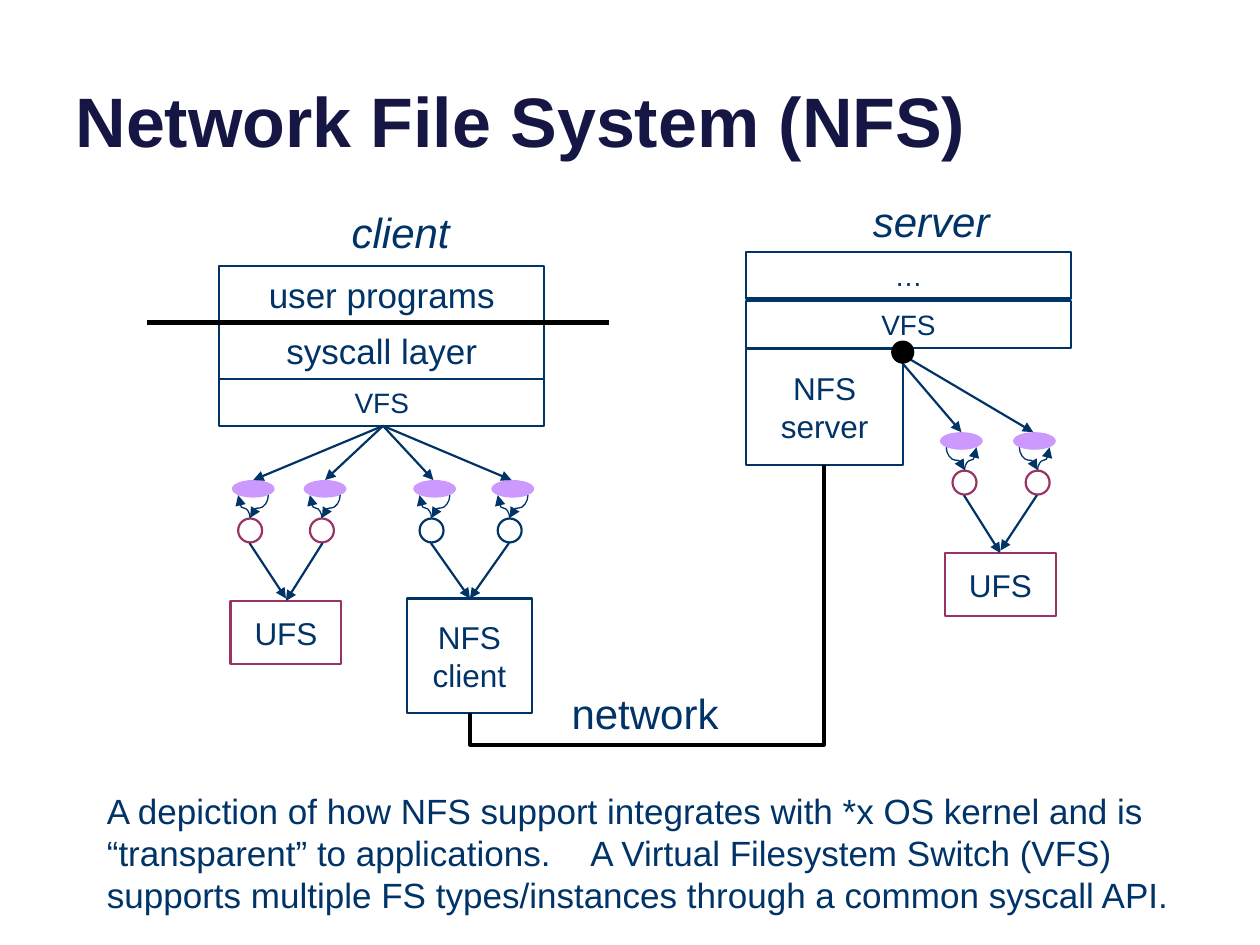
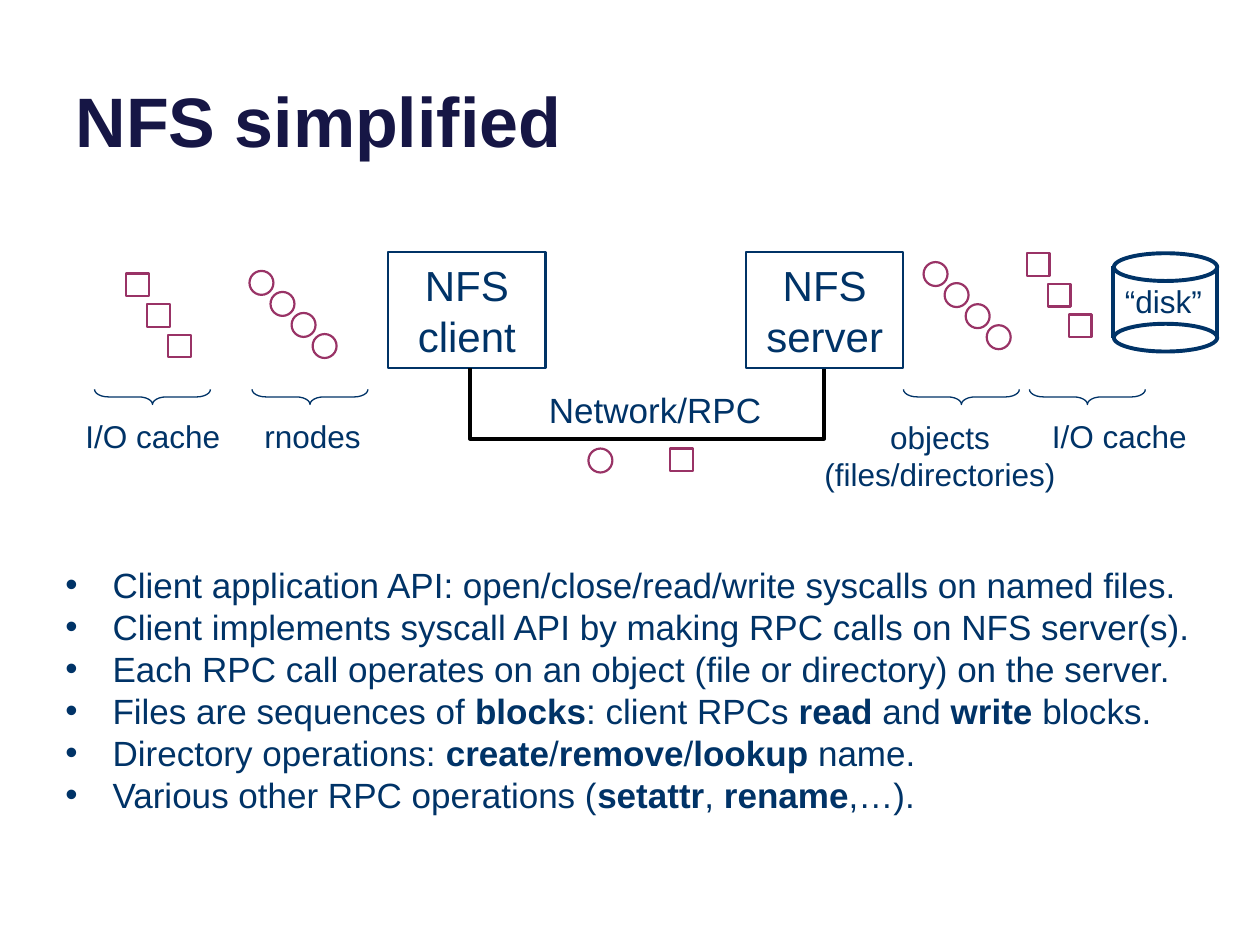
"""Build two slides on how the Network File System is put together."""
from lxml import etree
from pptx import Presentation
from pptx import util as u
from pptx.dml.color import RGBColor
from pptx.enum import shapes, text
from pptx.oxml import ns

HUES = {"title": "161645", "ink": "003367", "navy": "003366", "plum": "993366",
        "lilac": "CC99FF", "white": "FFFFFF", "black": "000000"}
RECT, OVAL = shapes.MSO_SHAPE.RECTANGLE, shapes.MSO_SHAPE.OVAL
BRACE = shapes.MSO_SHAPE.RIGHT_BRACE
STRAIGHT, ELBOW, CURVE = (shapes.MSO_CONNECTOR.STRAIGHT, shapes.MSO_CONNECTOR.ELBOW,
                          shapes.MSO_CONNECTOR.CURVE)

deck = Presentation()
deck.slide_width, deck.slide_height = u.Inches(10), u.Inches(7.5)
CELL = deck.slide_width / 100


def put(slide, kind, box, words="", size=18, fill="white", line="navy", weight=1.25,
        centred=True, italic=False):
    """Place a shape, or a text box if kind is None; |bars| enclose bold words."""
    spot = [round(n * CELL) for n in box]
    if kind is None:
        part = slide.shapes.add_textbox(*spot)
    else:
        part = slide.shapes.add_shape(kind, *spot)
        part.shadow.inherit = False
        if fill:
            part.fill.solid()
            part.fill.fore_color.rgb = RGBColor.from_string(HUES[fill])
        else:
            part.fill.background()
        if line:
            part.line.color.rgb = RGBColor.from_string(HUES[line])
            part.line.width = u.Pt(weight)
        else:
            part.line.fill.background()
    if words:
        frame = part.text_frame
        frame.word_wrap = not centred
        frame.vertical_anchor = text.MSO_ANCHOR.MIDDLE if centred else text.MSO_ANCHOR.TOP
        look = {"name": "Arial", "size": u.Pt(size), "italic": italic}
        for row, sentence in enumerate(words.split("\n")):
            para = frame.add_paragraph() if row else frame.paragraphs[0]
            para.alignment = text.PP_ALIGN.CENTER if centred else text.PP_ALIGN.LEFT
            for turn, piece in enumerate(sentence.split("|")):
                run = para.add_run()
                run.text = piece
                for key, value in {**look, "bold": turn % 2 == 1}.items():
                    setattr(run.font, key, value)
                run.font.color.rgb = RGBColor.from_string(HUES["ink"])
    return part


def link(slide, start, end, kind=STRAIGHT, hue="navy", weight=1.25, arrow=True, bend=None):
    """Join two points; a bend is the share of the height where the path turns."""
    (x1, y1), (x2, y2) = start, end
    wire = slide.shapes.add_connector(kind, *[round(n * CELL) for n in (*start, *end)])
    wire.line.color.rgb = RGBColor.from_string(HUES[hue])
    wire.line.width = u.Pt(weight)
    props = wire.element.spPr
    if bend is not None:
        wide, high = abs(x2 - x1), abs(y2 - y1)
        wire.left, wire.top = (round(n * CELL / 2) for n in (x1 + x2 - high, y1 + y2 - wide))
        wire.width, wire.height = round(high * CELL), round(wide * CELL)
        right, down = x2 > x1, y2 > y1
        frame = props.find(ns.qn("a:xfrm"))
        for key, value in {"rot": 16200000 if right else 5400000,
                           "flipH": int(right == down), "flipV": 0}.items():
            frame.set(key, str(value))
        guides = props.find(ns.qn("a:prstGeom")).get_or_add_avLst()
        etree.SubElement(guides, ns.qn("a:gd"), name="adj1", fmla=f"val {round(bend * 100000)}")
    if arrow:
        etree.SubElement(wire.line._get_or_add_ln(), ns.qn("a:tailEnd"), type="triangle")
    etree.SubElement(props, ns.qn("a:effectLst"))


pages = []
for heading in ("Network File System (NFS)", "NFS simplified"):
    page = deck.slides.add_slide(deck.slide_layouts[5])
    title = page.shapes.title
    for key, value in {"left": 5, "top": -3.7, "width": 90, "height": 17}.items():
        setattr(title, key, round(value * CELL))
    title.text_frame.text = heading
    for key, value in {"vertical_anchor": text.MSO_ANCHOR.BOTTOM, "word_wrap": True,
                       "auto_size": text.MSO_AUTO_SIZE.NONE}.items():
        setattr(title.text_frame, key, value)
    title.text_frame.paragraphs[0].alignment = text.PP_ALIGN.LEFT
    font = title.text_frame.paragraphs[0].runs[0].font
    for key, value in {"name": "Arial", "size": u.Pt(40), "bold": True}.items():
        setattr(font, key, value)
    font.color.rgb = RGBColor.from_string(HUES["title"])
    pages.append(page)
kernel, simple = pages

for middle, top, side, hue in ((20.1, 38.1, -1, "plum"), (25.8, 38.1, -1, "plum"),
                               (34.5, 38.1, -1, "navy"), (40.7, 38.1, -1, "navy"),
                               (76.3, 34.3, 1, "plum"), (82.1, 34.3, 1, "plum")):
    node = middle + side * 0.25
    put(kernel, OVAL, (node - 0.95, top + 3.05, 1.9, 1.9), line=hue)
    put(kernel, OVAL, (middle - 1.7, top, 3.4, 1.4), fill="lilac", line=None)
    for start, end, bend in (((middle - side * 1.2, top + 1.2), (node, top + 3), 0.57),
                             ((node, top + 3), (middle + side * 1.2, top + 1.2), 0.43)):
        link(kernel, start, end, CURVE, weight=0.75, bend=bend)

for box, words, size, hue in (
        ((59.2, 20, 25.8, 3.7), "…", 16, "navy"),
        ((75, 43.9, 8.8, 5), "UFS", 18, "plum"),
        ((59.2, 27.7, 12.5, 9.2), "NFS\nserver", 18, "navy"),
        ((59.2, 23.9, 25.8, 3.7), "VFS", 16, "navy"),
        ((17.4, 30.1, 25.8, 3.7), "VFS", 16, "navy"),
        ((32.3, 47.5, 9.9, 9.1), "NFS\nclient", 18, "navy"),
        ((18.3, 47.7, 8.8, 5), "UFS", 18, "plum"),
        ((17.4, 25.6, 25.8, 4.5), "syscall layer", 20, "navy"),
        ((17.4, 21.1, 25.8, 4.5), "user programs", 20, "navy")):
    put(kernel, RECT, box, words, size, line=hue)

for vnode in (20.1, 25.8, 34.4, 40.6):
    link(kernel, (30.4, 33.8), (vnode, 38.1))
for start, end in (((71.6, 28.8), (76.3, 34.3)), ((72.2, 28.5), (82, 34.3)),
                   ((76.5, 39.3), (79.4, 43.9)), ((82.3, 39.3), (79.4, 43.7)),
                   ((19.8, 43.1), (22.7, 47.5)), ((25.6, 43.1), (22.7, 47.7)),
                   ((34.2, 43.1), (37.3, 47.5)), ((40.4, 43.1), (37.3, 47.5))):
    link(kernel, start, end)
put(kernel, OVAL, (70.8, 27.1, 1.7, 1.7), fill="black", line="black", weight=1)
link(kernel, (37.3, 56.6), (65.4, 36.9), ELBOW, "black", 2.25, False, -0.127)
link(kernel, (11.7, 25.6), (48.3, 25.6), hue="black", weight=3, arrow=False)

for box, words, italic in (((26.5, 15.8, 10.6, 5.1), "client", True),
                           ((67.8, 15, 12.2, 5), "server", True),
                           ((44.3, 54.1, 13.8, 5), "network", False)):
    put(kernel, None, box, words, 24, italic=italic)
caption = put(kernel, None, (7.5, 62.2, 86.7, 11.1),
              "A depiction of how NFS support integrates with *x OS kernel and is "
              "“transparent” to applications.| |A Virtual Filesystem Switch (VFS) "
              "supports multiple FS types/instances through a common syscall API.",
              20, centred=False)
caption.text_frame.paragraphs[0].runs[1]._r.get_or_add_rPr().set("spc", "1670")

for left, role in ((59.2, "server"), (30.8, "client")):
    put(simple, RECT, (left, 20, 12.5, 9.2), f"NFS\n{role}", 24)
link(simple, (37.3, 29.2), (65.4, 29.3), ELBOW, "black", 2.25, False, 57)
put(simple, None, (42.5, 30.3, 19, 4.4), "Network/RPC", 20)

for kind, left, top, count, side, drop in (
        (OVAL, 73.3, 20.8, 4, 1.9, 1.67), (OVAL, 19.8, 21.5, 4, 1.9, 1.67),
        (RECT, 81.5, 20.1, 3, 1.8, 2.43), (RECT, 10, 21.7, 3, 1.8, 2.43),
        (OVAL, 46.7, 35.6, 1, 1.9, 0), (RECT, 53.2, 35.6, 1, 1.8, 0)):
    for step in range(count):
        put(simple, kind, (left + step * 1.67, top + step * drop, side, side), line="plum")

for lid in (20.1, 25.7):
    put(simple, OVAL, (88.4, lid, 8.2, 2.2), fill=None, line="ink", weight=2.25)
for wall in (88.3, 96.6):
    link(simple, (wall, 21.1), (wall, 26.8), hue="ink", weight=2.25, arrow=False)

for left in (11.5, 24, 75.7, 85.7):
    brace = put(simple, BRACE, (left, 26.9, 1.2, 9.2), fill=None, line="ink", weight=0.75)
    brace.rotation = 90
    brace.adjustments[0] = 0.917

for box, words in (((5.8, 32.6, 14.2, 4), "I/O cache"), ((20, 32.6, 10, 4), "rnodes"),
                   ((82.5, 32.6, 16.7, 4), "I/O cache"), ((88.3, 21.9, 8.3, 4), "“disk”")):
    put(simple, None, box, words, centred=False)
put(simple, None, (64.2, 32.6, 20.8, 7.1), "objects\n(files/directories)")

points = put(simple, None, (4.2, 44.2, 91.7, 21.2), "\n".join((
    "Client application API: open/close/read/write syscalls on named files.",
    "Client implements syscall API by making RPC calls on NFS server(s).",
    "Each RPC call operates on an object (file or directory) on the server.",
    "Files are sequences of |blocks|: client RPCs |read| and |write| blocks.",
    "Directory operations: |create|/|remove|/|lookup| name.",
    "Various other RPC operations (|setattr|, |rename|,…).")), 20, centred=False)
for para in points.text_frame.paragraphs:
    layout = para._p.get_or_add_pPr()
    for key, value in {"marL": 3.75, "indent": -3.75}.items():
        layout.set(key, str(round(value * CELL)))
    etree.SubElement(layout, ns.qn("a:buFont"), typeface="Arial")
    etree.SubElement(layout, ns.qn("a:buChar"), char="•")

deck.save("out.pptx")
